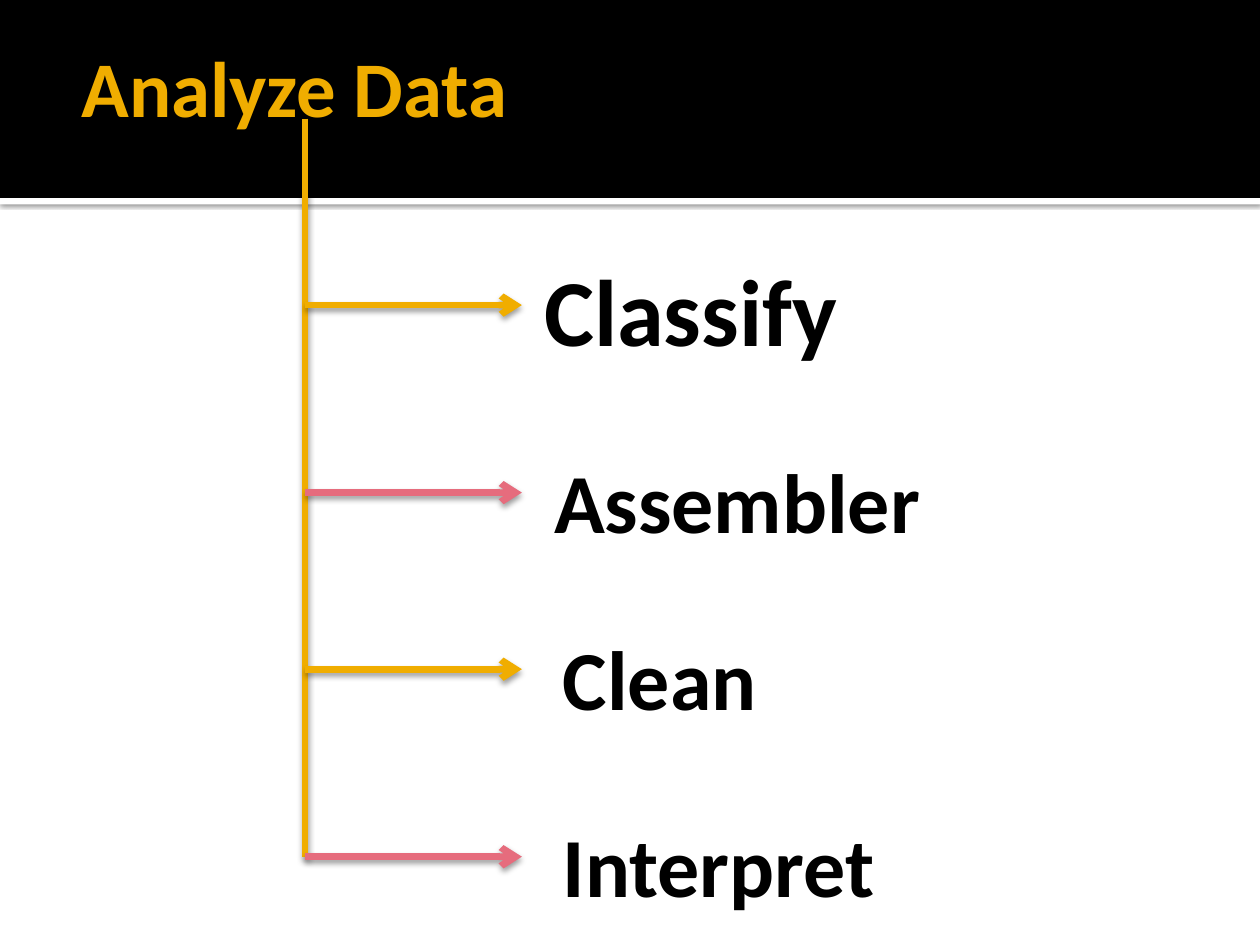
from lxml.etree import SubElement
from pptx import Presentation
from pptx.dml.color import RGBColor
from pptx.enum.shapes import MSO_CONNECTOR, MSO_SHAPE
from pptx.enum.text import MSO_ANCHOR, MSO_AUTO_SIZE
from pptx.oxml.ns import qn
from pptx.util import Cm, Pt

COLOURS = {"black": "000000", "white": "FFFFFF", "gold": "F0AD00", "rose": "E66C7D"}
SLIDE_WIDTH, SLIDE_HEIGHT = 25.4, 19.05
BAND_HEIGHT = 3.99
LINE_SHADOW = {"blur": 3.3, "distance": 2, "alpha": 38}
STRIP_SHADOW = {"blur": 2.5, "distance": 0.8, "alpha": 60}

# Text, point size, arrow colour, arrow height, label left, label rise, label width
BRANCHES = [
    ("Classify", 54, "gold", 3.76, 4.57, 1.2, 12.9),
    ("Assembler", 48, "rose", 7.54, 4.77, 0.99, 9.73),
    ("Clean", 48, "gold", 11.1, 4.95, 0.99, 6.76),
    ("Interpret", 48, "rose", 14.88, 4.95, 0.99, 14.3),
]


def colour(name):
    """Return the named colour."""
    return RGBColor.from_string(COLOURS[name])


def add_shadow(shape, blur, distance, alpha):
    """Give a shape a black shadow that falls straight down."""
    effects = SubElement(shape._element.spPr, qn("a:effectLst"))
    shadow = SubElement(effects, qn("a:outerShdw"), blurRad=str(Pt(blur)),
                        dist=str(Pt(distance)), dir="5400000", algn="t", rotWithShape="0")
    black = SubElement(shadow, qn("a:srgbClr"), val=COLOURS["black"])
    SubElement(black, qn("a:alpha"), val=str(alpha * 1000))


def add_bar(slide, top, height, fill, shadow=None):
    """Draw a bar across the full slide width."""
    bar = slide.shapes.add_shape(MSO_SHAPE.RECTANGLE, Cm(0), Cm(top), Cm(SLIDE_WIDTH), Cm(height))
    bar.fill.solid()
    bar.fill.fore_color.rgb = colour(fill)
    bar.line.fill.background()
    if shadow:
        add_shadow(bar, **shadow)
    else:
        bar.shadow.inherit = False


def add_text(slide, box, text, size, colour_name, frame_format):
    """Write one bold line of text in a box of left, top, width and height."""
    frame = slide.shapes.add_textbox(*map(Cm, box)).text_frame
    for name, value in {"word_wrap": True, **frame_format}.items():
        setattr(frame, name, value)
    run = frame.paragraphs[0].add_run()
    run.text = text
    for name, value in {"name": "Calibri", "size": Pt(size), "bold": True}.items():
        setattr(run.font, name, value)
    run.font.color.rgb = colour(colour_name)


def add_line(slide, start, end, colour_name, arrow=False):
    """Draw a shadowed line, with an arrowhead at its end if asked."""
    line = slide.shapes.add_connector(MSO_CONNECTOR.STRAIGHT, *map(Cm, start + end))
    line.line.width = Pt(3.8)
    line.line.color.rgb = colour(colour_name)
    if arrow:
        SubElement(line.line._get_or_add_ln(), qn("a:tailEnd"), type="arrow")
    add_shadow(line, **LINE_SHADOW)


def add_header(slide, height, title):
    """Build the title band with the white strip below it."""
    add_bar(slide, height, 0.13, "white", STRIP_SHADOW)
    add_bar(slide, 0, height, "black")
    add_text(slide, (1.4, 0, 22.86, 3.48), title, 45, "gold",
             {"vertical_anchor": MSO_ANCHOR.MIDDLE, "margin_right": Cm(0.13)})


def add_tree(slide, left, top, arrow_length):
    """Draw the trunk from its top point, then each arrow with its label."""
    trunk_length = BRANCHES[-1][3]
    add_line(slide, (left, top), (left, top + trunk_length), "gold")
    for text, size, colour_name, drop, label_left, rise, width in BRANCHES:
        y = top + drop
        add_line(slide, (left, y), (left + arrow_length, y), colour_name, arrow=True)
        box = (left + label_left, y - rise, width, 2.57 if size == 54 else 2.31)
        add_text(slide, box, text, size, "black", {"auto_size": MSO_AUTO_SIZE.SHAPE_TO_FIT_TEXT})


def main():
    """Build and save the presentation."""
    presentation = Presentation()
    presentation.slide_width, presentation.slide_height = Cm(SLIDE_WIDTH), Cm(SLIDE_HEIGHT)
    slide = presentation.slides.add_slide(presentation.slide_layouts[6])
    add_header(slide, BAND_HEIGHT, "Analyze Data")
    add_tree(slide, left=6.15, top=2.39, arrow_length=4.37)
    presentation.save("out.pptx")


main()
